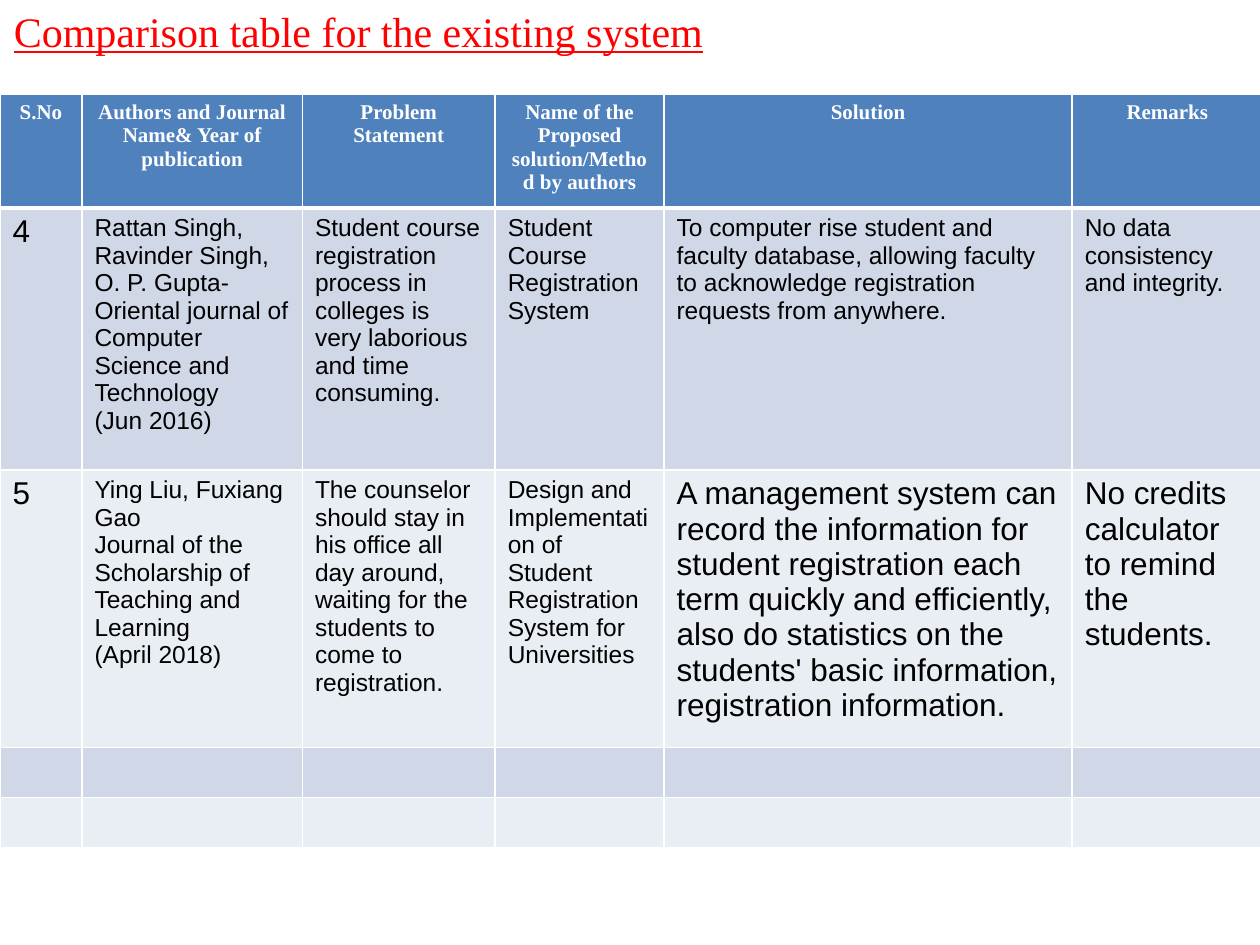
from typing import NamedTuple

from lxml.etree import SubElement
from pptx import Presentation
from pptx.dml.color import RGBColor
from pptx.enum.text import MSO_ANCHOR as Anchor, MSO_AUTO_SIZE as AutoSize, PP_ALIGN as Align
from pptx.oxml.ns import qn
from pptx.util import Inches, Pt

RED = RGBColor(0xFF, 0x00, 0x00)
WHITE = RGBColor(0xFF, 0xFF, 0xFF)
BLACK = RGBColor(0x00, 0x00, 0x00)
HEADER_BLUE = RGBColor(0x4F, 0x81, 0xBD)
BAND_DARK = RGBColor(0xD0, 0xD8, 0xE8)
BAND_LIGHT = RGBColor(0xE9, 0xED, 0xF4)

SERIF, SANS = "Times New Roman", "Arial"
SLIDE_WIDTH, SLIDE_HEIGHT = Inches(10), Inches(7.5)
COLUMNS = (0.65, 1.75, 1.53, 1.34, 3.24, 1.51)
ROWS = (0.83, 2.08, 2.02, 0.36, 0.15)
TABLE_TOP, TABLE_HEIGHT = 0.75, 6.17

HEADINGS = (
    "S.No",
    "Authors and Journal Name& Year of publication",
    "Problem Statement",
    "Name of the Proposed solution/Method by authors",
    "Solution",
    "Remarks",
)


class Study(NamedTuple):
    """One compared paper, with the text size of each column."""

    texts: tuple[str, ...]
    sizes: tuple[int, ...]


STUDIES = (
    Study(
        (
            "4",
            "Rattan Singh, Ravinder Singh, O. P. Gupta-Oriental journal of "
            "Computer Science and Technology\n(Jun 2016)",
            "Student course registration process in colleges is very laborious "
            "and time consuming.",
            "Student Course Registration System",
            "To computer rise student and faculty database, allowing faculty to "
            "acknowledge registration requests from anywhere.",
            "No data consistency and integrity.",
        ),
        (18, 14, 14, 14, 14, 14),
    ),
    Study(
        (
            "5",
            "Ying Liu, Fuxiang Gao\nJournal of the Scholarship of Teaching and "
            "Learning\n(April 2018)",
            "The counselor should stay in his office all day around, waiting for "
            "the students to come to registration.",
            "Design and Implementation of Student Registration System for "
            "Universities",
            "A management system can record the information for student "
            "registration each term quickly and efficiently, also do statistics "
            "on the students' basic information, registration information.",
            "No credits calculator to remind the students.",
        ),
        (18, 14, 14, 14, 18, 18),
    ),
)


def write(frame, text: str, *, size: int, font: str = SANS, color: RGBColor = BLACK,
          bold: bool = False, underline: bool = False, align: Align = Align.LEFT) -> None:
    """Fill a text frame, one paragraph per line, in a single format."""
    frame.text = text
    for paragraph in frame.paragraphs:
        paragraph.alignment = align
        for run in paragraph.runs:
            run.font.size, run.font.name = Pt(size), font
            run.font.bold, run.font.underline = bold, underline
            run.font.color.rgb = color


def style_cell(cell, fill: RGBColor, bottom: int = 1, top: int = 1) -> None:
    """Give a cell white borders and a solid fill."""
    properties = cell._tc.get_or_add_tcPr()
    for side, width in (("L", 1), ("R", 1), ("T", top), ("B", bottom)):
        line = SubElement(properties, qn(f"a:ln{side}"), w=str(Pt(width)))
        solid = SubElement(line, qn("a:solidFill"))
        SubElement(solid, qn("a:srgbClr"), val=str(WHITE))
    cell.fill.solid()
    cell.fill.fore_color.rgb = fill


def add_title(slide, text: str) -> None:
    """Place the slide title along the top edge."""
    title = slide.shapes.title
    title.left, title.top = Inches(0.01), Inches(-0.01)
    title.width, title.height = Inches(9.83), Inches(0.5)
    frame = title.text_frame
    frame.word_wrap = True
    frame.auto_size = AutoSize.SHAPE_TO_FIT_TEXT
    frame.vertical_anchor = Anchor.TOP
    write(frame, text, size=24, font=SERIF, color=RED, underline=True)


def add_comparison(slide) -> None:
    """Draw the comparison table across the slide."""
    shape = slide.shapes.add_table(len(ROWS), len(COLUMNS), 0, Inches(TABLE_TOP),
                                   SLIDE_WIDTH, Inches(TABLE_HEIGHT))
    table = shape.table
    for column, width in zip(table.columns, COLUMNS):
        column.width = Inches(width)
    for row, height in zip(table.rows, ROWS):
        row.height = Inches(height)
    shape.width, shape.height = SLIDE_WIDTH, Inches(TABLE_HEIGHT)

    for cell, heading in zip(table.rows[0].cells, HEADINGS):
        style_cell(cell, HEADER_BLUE, bottom=3)
        write(cell.text_frame, heading, size=12, font=SERIF, color=WHITE,
              bold=True, align=Align.CENTER)
    for index in range(1, len(ROWS)):
        for cell in table.rows[index].cells:
            style_cell(cell, BAND_DARK if index % 2 else BAND_LIGHT,
                       top=3 if index == 1 else 1)
    for index, study in enumerate(STUDIES, start=1):
        for cell, text, size in zip(table.rows[index].cells, study.texts, study.sizes):
            write(cell.text_frame, text, size=size)


def main() -> None:
    """Build and save the slide."""
    presentation = Presentation()
    presentation.slide_width, presentation.slide_height = SLIDE_WIDTH, SLIDE_HEIGHT
    slide = presentation.slides.add_slide(presentation.slide_layouts.get_by_name("Title Only"))
    add_title(slide, "Comparison table for the existing system")
    add_comparison(slide)
    presentation.save("out.pptx")


if __name__ == "__main__":
    main()
